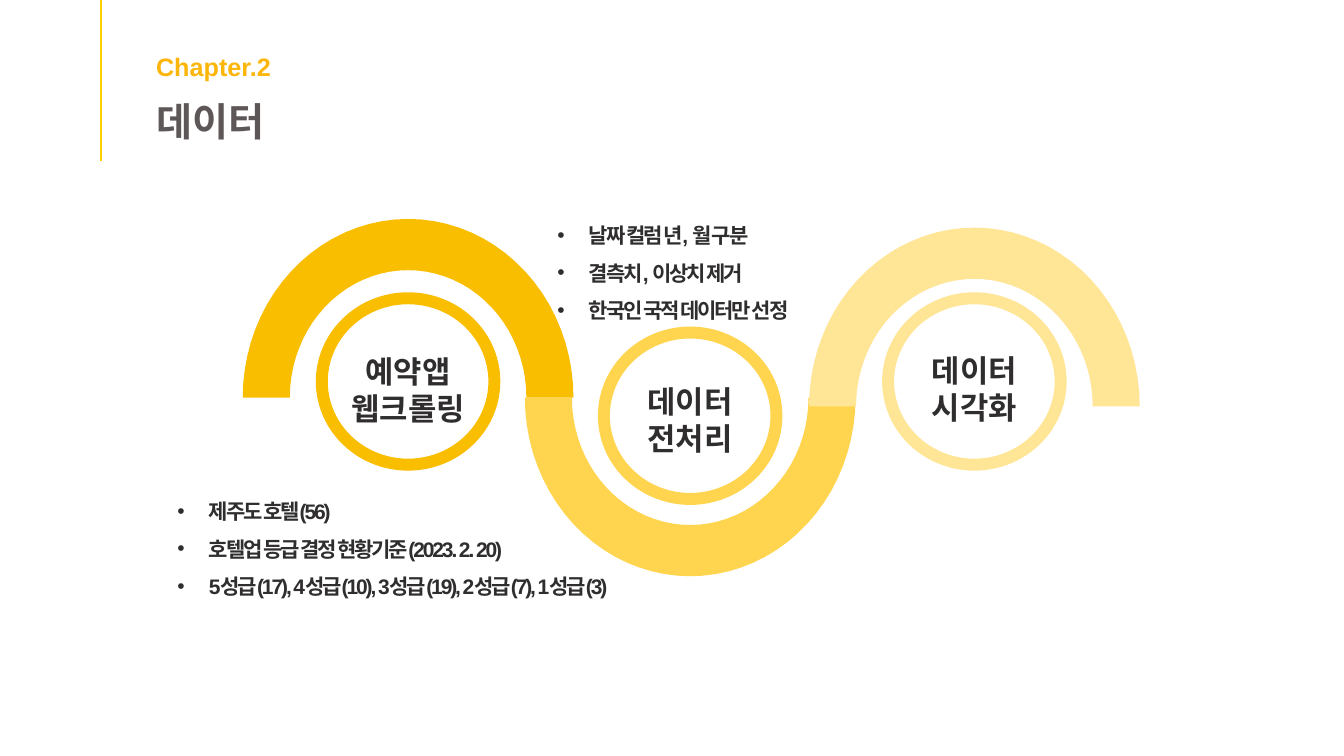
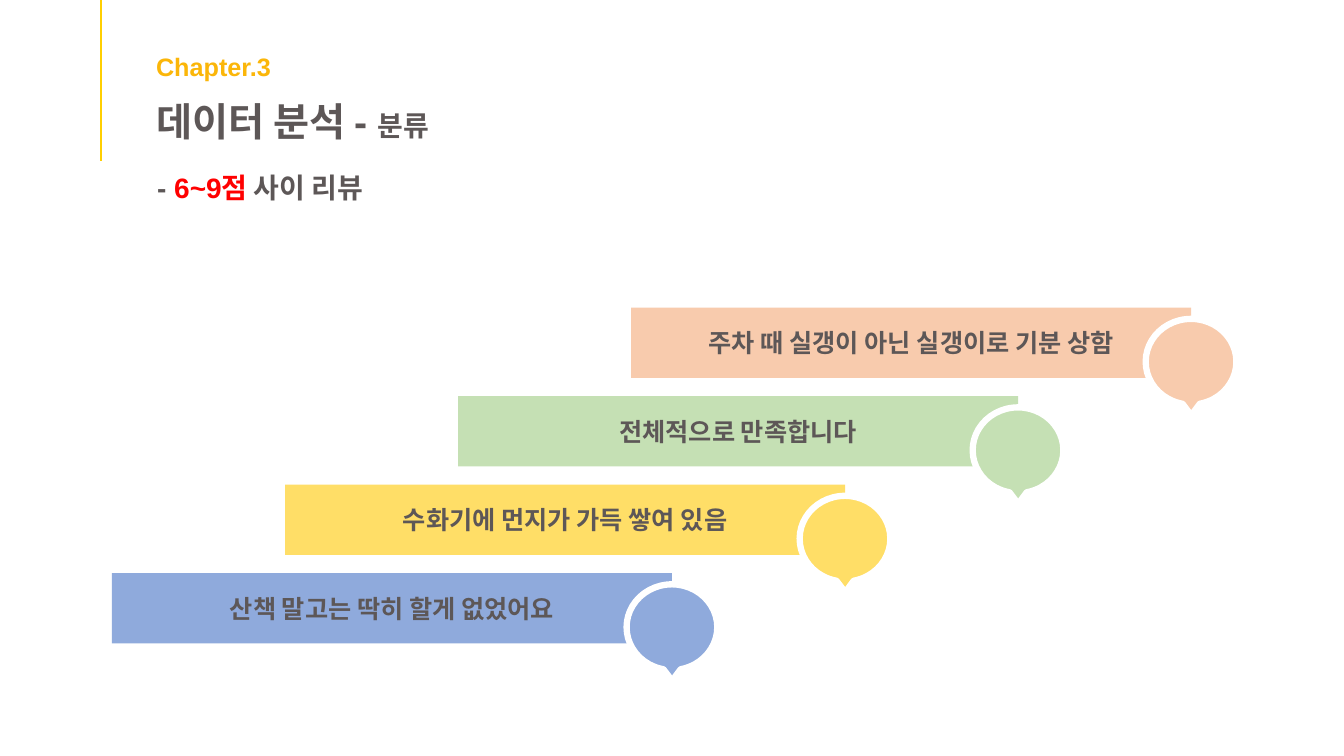
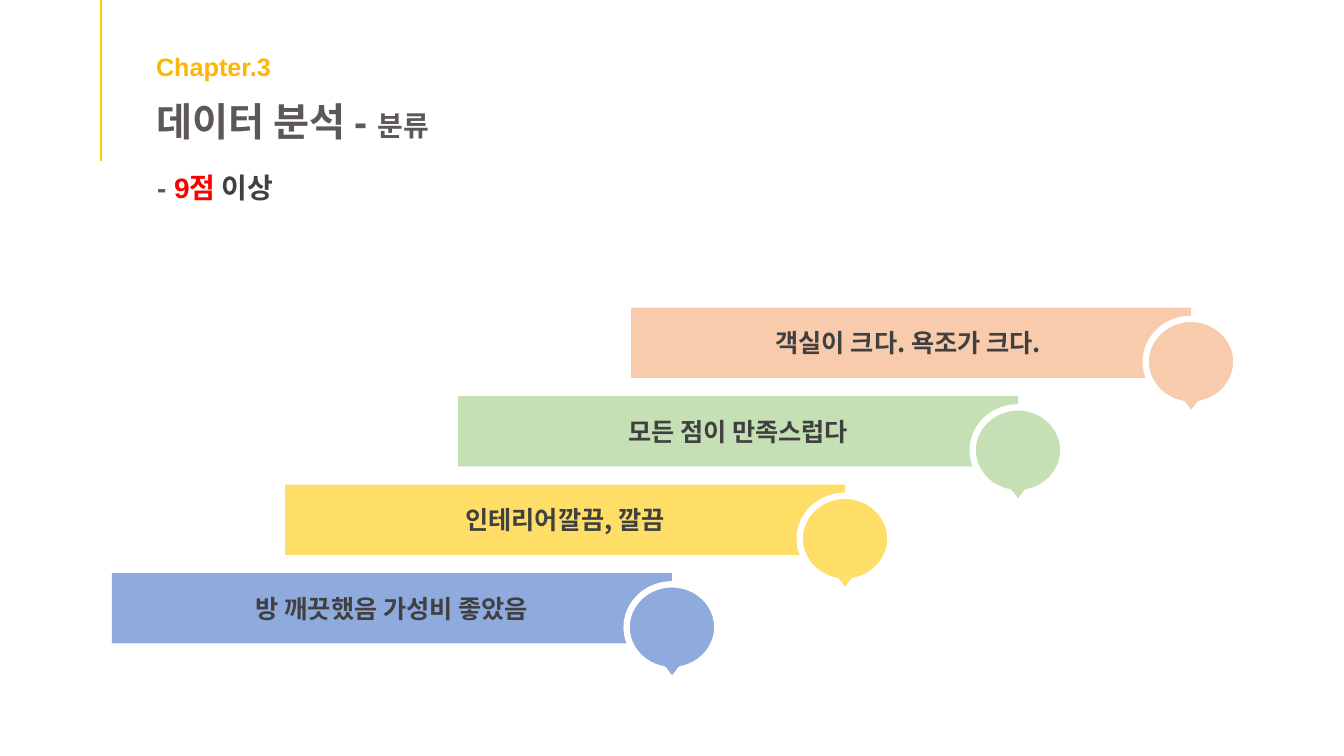
import math

import lxml.etree
import pptx
import pptx.dml.color
import pptx.enum.shapes
import pptx.enum.text
import pptx.oxml.ns
import pptx.util

Pt = pptx.util.Pt
Align = pptx.enum.text.PP_ALIGN
Anchor = pptx.enum.text.MSO_ANCHOR
Shape = pptx.enum.shapes.MSO_SHAPE
qn = pptx.oxml.ns.qn

TITLE_ONLY, TWO_CONTENT = 5, 3


def color(hex_code):
    return pptx.dml.color.RGBColor.from_string(hex_code)


class Deck:
    FONT = "Arial"
    KOREAN_FONT = "Noto Sans CJK KR"
    RULE, CHAPTER, TITLE = "FFCF01", "FBB609", "5D5757"
    INK, GRAY, RED, WHITE = "2F2D2D", "404040", "FF0000", "FFFFFF"

    def __init__(self):
        self.prs = pptx.Presentation()
        self.prs.slide_width, self.prs.slide_height = Pt(960), Pt(540)
        self.slide = None

    def add_slide(self, layout, chapter, title):
        self.slide = self.prs.slides.add_slide(self.prs.slide_layouts[layout])
        self.rule()
        self.text((104.4, 33.1, 396.7, 28.8), [[(chapter, 18, self.CHAPTER)]])
        self.place(self.slide.shapes.title, (104.4, 66.2, 558.7, 40.5))
        self.fill_text(self.slide.shapes.title.text_frame,
                       [[(words, size, self.TITLE) for words, size in title]])

    def rule(self):
        rule = self.slide.shapes.add_connector(
            pptx.enum.shapes.MSO_CONNECTOR.STRAIGHT, Pt(72), Pt(0), Pt(72), Pt(115))
        rule.line.color.rgb = color(self.RULE)
        rule.line.width = Pt(1.5)
        lxml.etree.SubElement(rule._element.spPr, qn("a:effectLst"))

    def place(self, placeholder, box):
        (placeholder.left, placeholder.top,
         placeholder.width, placeholder.height) = map(Pt, box)

    def fill_text(self, frame, paragraphs, align=Align.LEFT, anchor=Anchor.TOP,
                  font=FONT, grow=True):
        frame.word_wrap = True
        frame.vertical_anchor = anchor
        if grow:
            frame.auto_size = pptx.enum.text.MSO_AUTO_SIZE.SHAPE_TO_FIT_TEXT
        for index, parts in enumerate(paragraphs):
            paragraph = frame.add_paragraph() if index else frame.paragraphs[0]
            paragraph.alignment = align
            paragraph.space_before = Pt(0)
            for words, size, hex_code in parts:
                run = paragraph.add_run()
                run.text = words
                run.font.name = font
                run.font.size = Pt(size)
                run.font.bold = True
                run.font.color.rgb = color(hex_code)

    def text(self, box, paragraphs, align=Align.LEFT):
        frame = self.slide.shapes.add_textbox(*map(Pt, box)).text_frame
        self.fill_text(frame, paragraphs, align)

    def bullets(self, index, box, items):
        body = self.slide.placeholders[index]
        self.place(body, box)
        self.fill_text(body.text_frame, [[(item, 15, self.INK)] for item in items], Align.JUSTIFY)
        for paragraph in body.text_frame.paragraphs:
            paragraph.line_spacing = 1.5
            properties = paragraph._p.get_or_add_pPr()
            properties.set("marL", str(Pt(22.5)))
            properties.set("indent", str(-Pt(22.5)))
            lxml.etree.SubElement(properties, qn("a:buChar")).set("char", "•")
            for run in paragraph.runs:
                run._r.get_or_add_rPr().set("spc", "-150")

    def paint(self, shape, fill, line=None, width=0):
        shape.shadow.inherit = False
        shape.fill.solid()
        shape.fill.fore_color.rgb = color(fill)
        if line:
            shape.line.color.rgb = color(line)
            shape.line.width = Pt(width)
        else:
            shape.line.fill.background()

    def preset(self, kind, box, fill, adjustments=(), line=None, width=0):
        shape = self.slide.shapes.add_shape(kind, *map(Pt, box))
        self.paint(shape, fill, line, width)
        for index, value in enumerate(adjustments):
            shape.adjustments[index] = value
        return shape

    def arch(self, center_x, base_y, direction, fill):
        def edge(radius_x, radius_y, steps):
            return [(Pt(center_x - radius_x * math.cos(math.pi * step / 40)),
                     Pt(base_y + direction * radius_y * math.sin(math.pi * step / 40)))
                    for step in steps]

        outline = edge(118.1, 127.6, range(41)) + edge(84.5, 91, range(40, -1, -1))
        builder = self.slide.shapes.build_freeform(*outline[0])
        builder.add_line_segments(outline[1:], close=True)
        self.paint(builder.convert_to_shape(), fill)

    def stage(self, center_x, ring_top, label_top, fill, lines):
        self.preset(Shape.DONUT, (center_x - 65.9, ring_top, 131.8, 127.4), fill, [0.067])
        self.text((center_x - 58.5, label_top, 117, 59.8),
                  [[(line, 22, self.INK)] for line in lines], Align.CENTER)

    def review_steps(self, reviews, font, ink):
        fills = ["8FAADC", "FFDE67", "C5E0B4", "F8CBAD"]
        for index, (review, fill) in enumerate(zip(reviews, fills)):
            left, top = 80 + 123.6 * index, 409.4 - 63.2 * index
            bar = self.preset(Shape.RECTANGLE, (left, top, 400, 50.2), fill)
            self.fill_text(bar.text_frame, [[(review, 18, ink)]], Align.CENTER,
                           Anchor.MIDDLE, font, grow=False)
            self.preset(Shape.OVAL_CALLOUT, (left + 367.6, top + 8, 64.8, 61.2), fill,
                        [0.002, 0.625], self.WHITE, 4.5)


def main():
    deck = Deck()

    deck.add_slide(TWO_CONTENT, "Chapter.2", [("데이터", 28)])
    stages = [
        (291.5, 284, -1, 208.8, 248.4, "FABE00", ["예약앱", "웹크롤링"]),
        (493, 284, 1, 233.3, 270, "FFD54F", ["데이터", "전처리"]),
        (696, 290.2, -1, 208.8, 247.7, "FFE697", ["데이터", "시각화"]),
    ]
    for center_x, base_y, direction, ring_top, label_top, fill, lines in stages:
        deck.arch(center_x, base_y, direction, fill)
        deck.stage(center_x, ring_top, label_top, fill, lines)
    deck.bullets(1, (119.5, 343.4, 350.6, 87.8), [
        "제주도 호텔(56)",
        "호텔업 등급 결정 현황기준(2023. 2. 20)",
        "5성급(17), 4성급(10), 3성급(19), 2성급(7), 1성급(3)",
    ])
    deck.bullets(2, (391, 146.2, 216.7, 87.8), [
        "날짜 컬럼 년, 월 구분",
        "결측치, 이상치 제거",
        "한국인 국적 데이터만 선정",
    ])

    score_slides = [
        ([("6~9점", deck.RED), (" 사이 리뷰", deck.TITLE)], deck.FONT, deck.TITLE,
         ["산책 말고는 딱히 할게 없었어요", "수화기에 먼지가 가득 쌓여 있음",
          "전체적으로 만족합니다", "주차 때 실갱이 아닌 실갱이로 기분 상함"]),
        ([("9점 ", deck.RED), ("이상", deck.GRAY)], deck.KOREAN_FONT, deck.GRAY,
         ["방 깨끗했음 가성비 좋았음", "인테리어깔끔, 깔끔",
          "모든 점이 만족스럽다", "객실이 크다. 욕조가 크다. "]),
    ]
    for score, font, ink, reviews in score_slides:
        deck.add_slide(TITLE_ONLY, "Chapter.3", [("데이터 분석 - ", 28), ("분류", 20)])
        deck.text((105.1, 118.1, 558.7, 30.2),
                  [[(words, 20, hex_code) for words, hex_code in [("- ", deck.TITLE), *score]]])
        deck.review_steps(reviews, font, ink)

    deck.prs.save("out.pptx")


if __name__ == "__main__":
    main()
